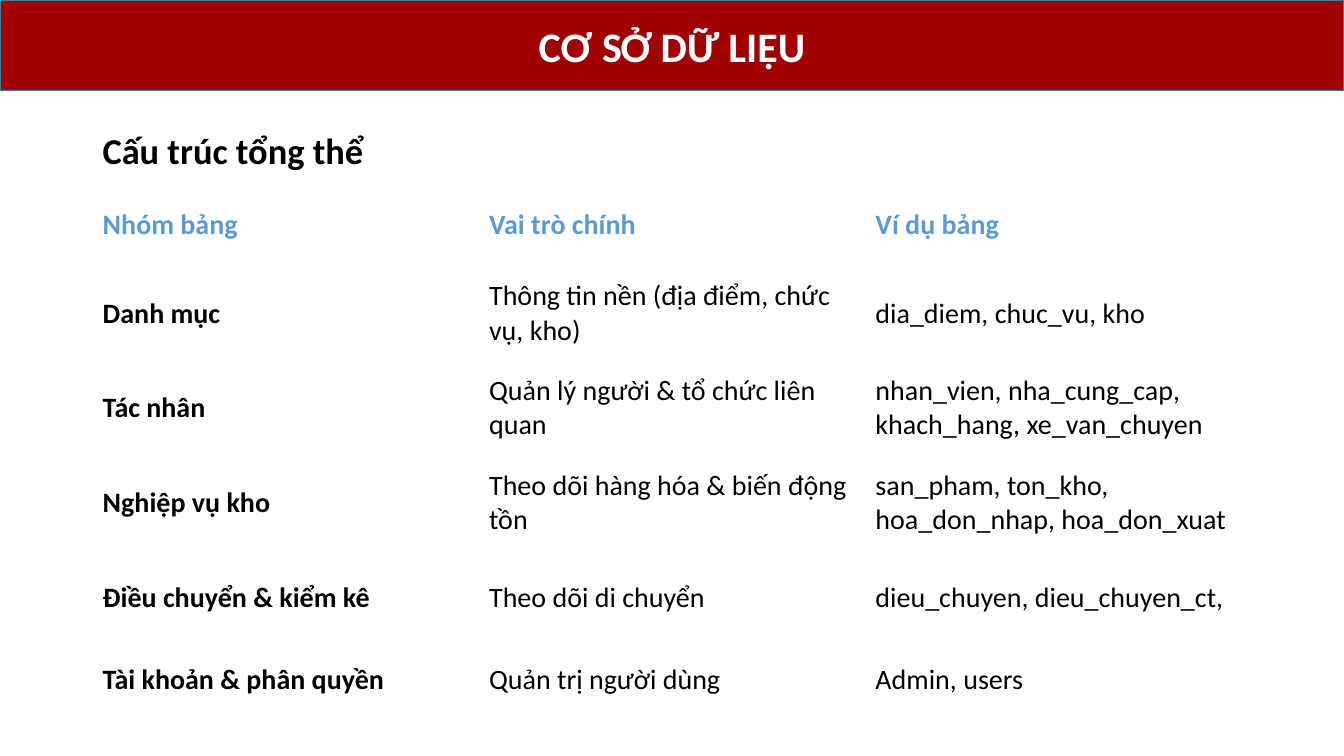
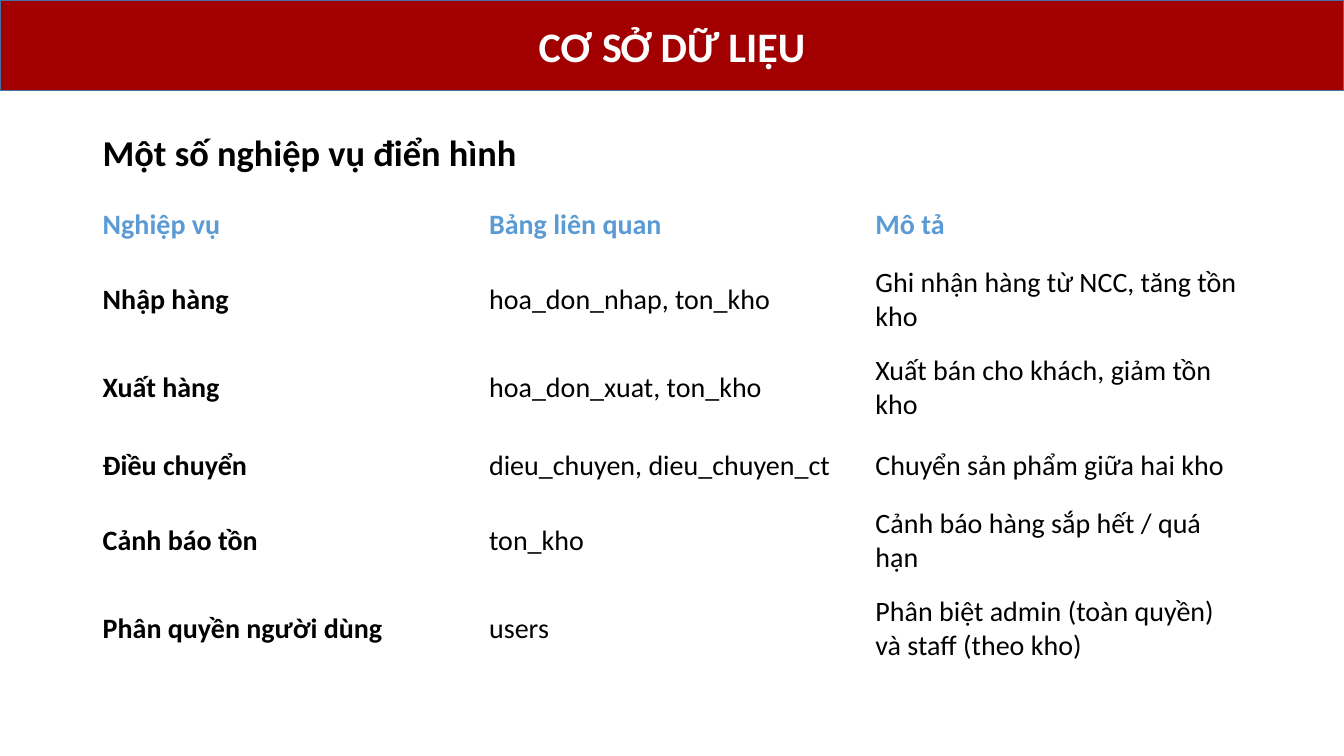
from pptx import Presentation
from pptx.dml.color import RGBColor
from pptx.enum import text as t
from pptx.util import Pt

BAND_RED = RGBColor(0xA2, 0x00, 0x00)
BAND_EDGE = RGBColor(0x43, 0x73, 0x9E)
HEADER_BLUE = RGBColor(0x5B, 0x9B, 0xD5)
WHITE = RGBColor(0xFF, 0xFF, 0xFF)
BLACK = RGBColor(0x00, 0x00, 0x00)

SLIDE_W, SLIDE_H = 960, 540
BAND_H = 64.8
LEFT = 66.2
FONT = "Calibri"
TITLE = "CƠ SỞ DỮ LIỆU"

# Each slide: heading, table position, column widths, row heights and cell text
SECTIONS = [
    {
        "heading": "Cấu trúc tổng thể",
        "heading_top": 87.8,
        "table_top": 131.8,
        "columns": [276, 276, 274.3],
        "heights": [58.3] + [67.7] * 4 + [49.7],
        "rows": [
            ("Nhóm bảng", "Vai trò chính", "Ví dụ bảng"),
            ("Danh mục", "Thông tin nền (địa điểm, chức vụ, kho)",
             "dia_diem, chuc_vu, kho"),
            ("Tác nhân", "Quản lý người & tổ chức liên quan",
             "nhan_vien, nha_cung_cap, khach_hang, xe_van_chuyen"),
            ("Nghiệp vụ kho", "Theo dõi hàng hóa & biến động tồn",
             "san_pham, ton_kho, hoa_don_nhap, hoa_don_xuat"),
            ("Điều chuyển & kiểm kê", "Theo dõi di chuyển",
             "dieu_chuyen, dieu_chuyen_ct,"),
            ("Tài khoản & phân quyền", "Quản trị người dùng", "Admin, users"),
        ],
    },
    {
        "heading": "Một số nghiệp vụ điển hình",
        "heading_top": 89.6,
        "table_top": 139,
        "columns": [276] * 3,
        "heights": [43.2, 64.1, 61.9, 49, 58.3, 67.7],
        "rows": [
            ("Nghiệp vụ", "Bảng liên quan", "Mô tả"),
            ("Nhập hàng", "hoa_don_nhap, ton_kho",
             "Ghi nhận hàng từ NCC, tăng tồn kho"),
            ("Xuất hàng", "hoa_don_xuat, ton_kho",
             "Xuất bán cho khách, giảm tồn kho"),
            ("Điều chuyển", "dieu_chuyen, dieu_chuyen_ct",
             "Chuyển sản phẩm giữa hai kho"),
            ("Cảnh báo tồn", "ton_kho", "Cảnh báo hàng sắp hết / quá hạn"),
            ("Phân quyền người dùng", "users",
             "Phân biệt admin (toàn quyền) và staff (theo kho)"),
        ],
    },
]


def write(frame, words, size, color, bold=True, align=t.PP_ALIGN.LEFT):
    """Put one formatted paragraph in a text frame."""
    paragraph = frame.paragraphs[0]
    paragraph.alignment = align
    run = paragraph.add_run()
    run.text = words
    for name, value in {"name": FONT, "size": Pt(size), "bold": bold}.items():
        setattr(run.font, name, value)
    run.font.color.rgb = color


def place_title_band(slide, left, top, width, height):
    band = slide.shapes.title
    box = {"left": left, "top": top, "width": width, "height": height}
    for name, value in box.items():
        setattr(band, name, Pt(value))
    band.fill.solid()
    band.fill.fore_color.rgb = BAND_RED
    band.line.color.rgb = BAND_EDGE
    band.line.width = Pt(1)
    frame = band.text_frame
    frame.auto_size = t.MSO_AUTO_SIZE.NONE
    frame.vertical_anchor = t.MSO_ANCHOR.MIDDLE
    write(frame, TITLE, 30, WHITE, align=t.PP_ALIGN.CENTER)


def place_heading(slide, words, left, top, width, height):
    heading = slide.shapes.add_textbox(Pt(left), Pt(top), Pt(width), Pt(height))
    heading.text_frame.word_wrap = True
    write(heading.text_frame, words, 26, BLACK)


def place_table(slide, rows, columns, heights, left, top):
    grid = slide.shapes.add_table(
        len(rows), len(columns), Pt(left), Pt(top),
        Pt(sum(columns)), Pt(sum(heights))).table
    grid.first_row = True
    grid.horz_banding = False
    for column, width in zip(grid.columns, columns):
        column.width = Pt(width)
    for r, (row, height) in enumerate(zip(rows, heights)):
        grid.rows[r].height = Pt(height)
        for c, words in enumerate(row):
            cell = grid.cell(r, c)
            cell.fill.background()
            cell.vertical_anchor = t.MSO_ANCHOR.MIDDLE
            # Header row is blue; header row and first column are bold
            write(cell.text_frame, words, 20,
                  HEADER_BLUE if r == 0 else BLACK, bold=r == 0 or c == 0)


def build_table_slide(deck, section):
    title_only = deck.slide_layouts[5]
    slide = deck.slides.add_slide(title_only)
    place_title_band(slide, 0, 0, SLIDE_W, BAND_H)
    place_heading(slide, section["heading"], LEFT, section["heading_top"], 740, 38.9)
    place_table(slide, section["rows"], section["columns"],
                section["heights"], LEFT, section["table_top"])


def main():
    deck = Presentation()
    deck.slide_width, deck.slide_height = Pt(SLIDE_W), Pt(SLIDE_H)
    for section in SECTIONS:
        build_table_slide(deck, section)
    deck.save("out.pptx")


if __name__ == "__main__":
    main()
